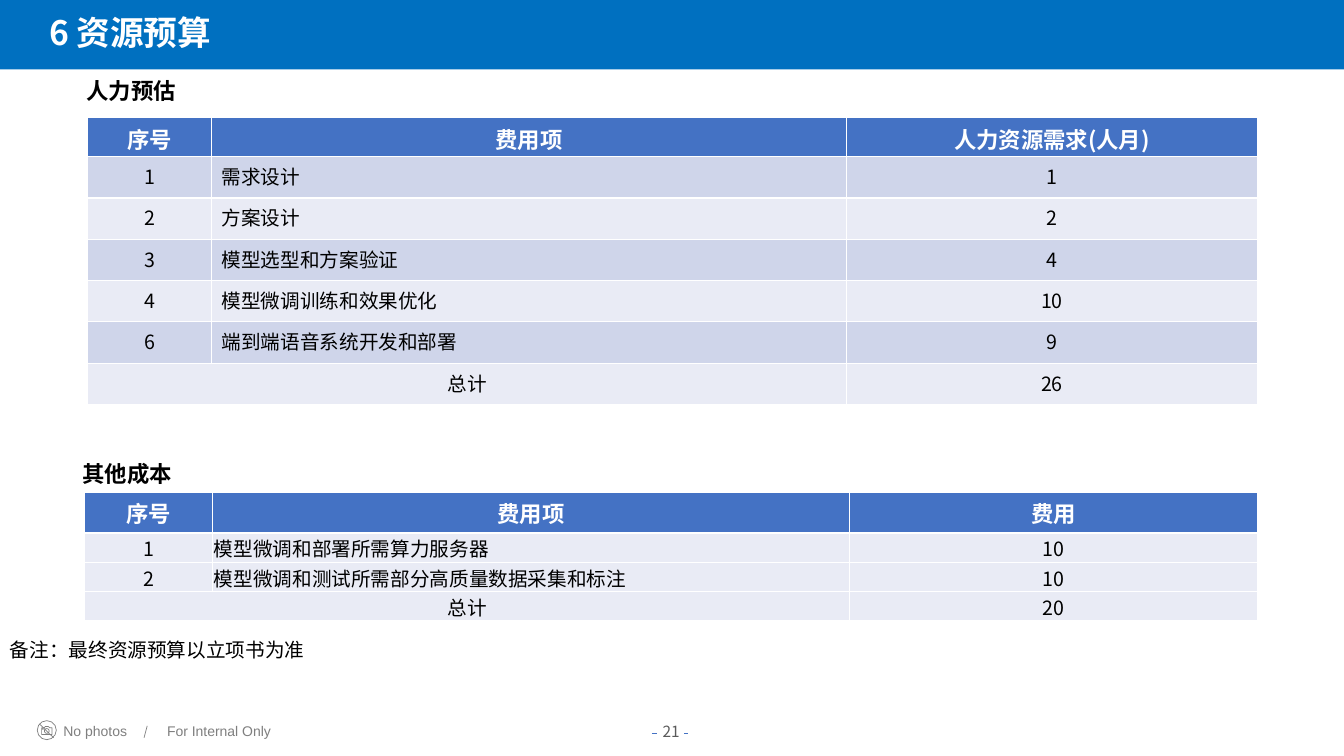
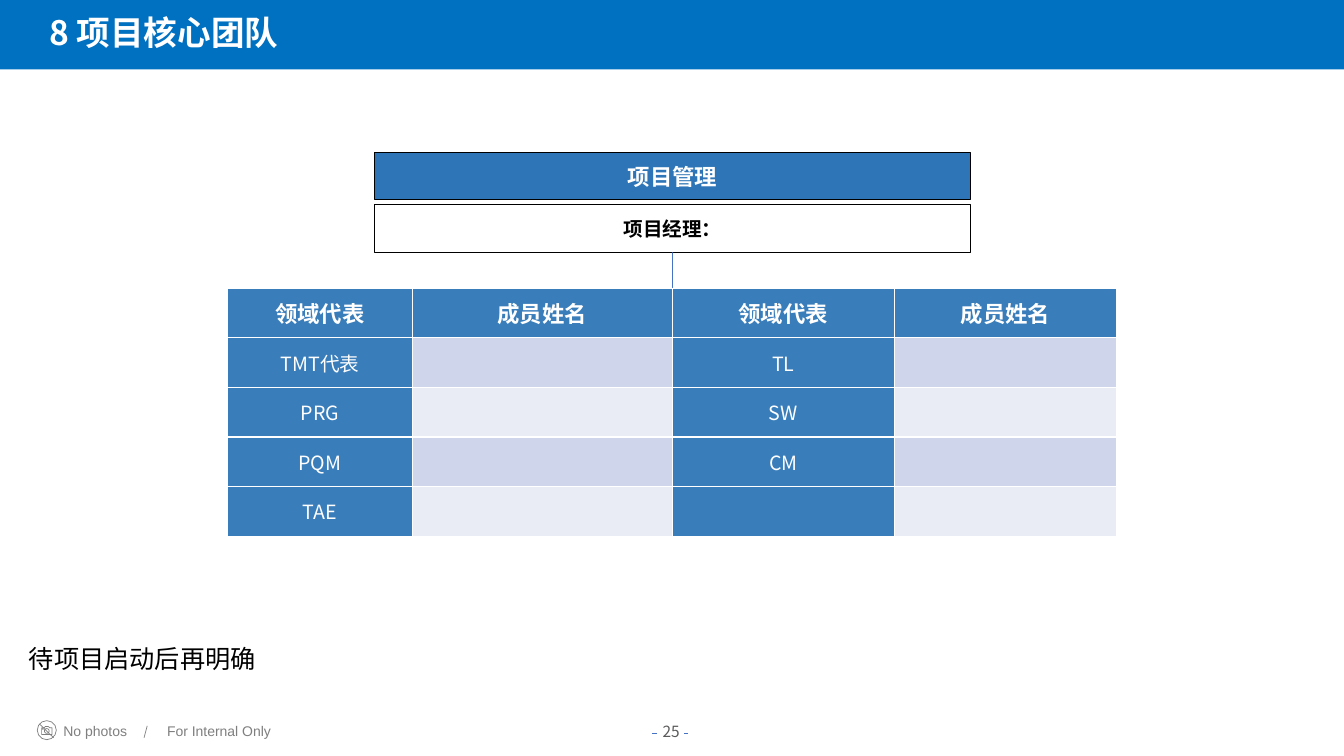
from lxml.etree import SubElement
from pptx import Presentation
from pptx.dml.color import RGBColor
from pptx.enum.shapes import MSO_CONNECTOR as LINK, MSO_SHAPE as SHAPE
from pptx.enum.text import MSO_ANCHOR as ANCHOR, PP_ALIGN as ALIGN
from pptx.oxml.ns import qn
from pptx.util import Cm, Pt

rgb = RGBColor.from_string
SANS, LATIN = "Noto Sans CJK SC", "Arial"
WHITE, BLACK, GRAY, BLUE = "FFFFFF", "000000", "7F7F7F", "4472C4"
BAND, TEAM, LEAD = "0070C0", "397DBA", "2D75B6"
DARK, PALE = "CFD5EA", "E9EBF5"


def write(frame, text, size, color=BLACK, bold=False, align=ALIGN.LEFT, face=SANS):
    frame.text = text
    para = frame.paragraphs[0]
    para.alignment = align
    for run in para.runs:
        font = run.font
        font.size, font.bold, font.name = Pt(size), bold, face
        font.color.rgb = rgb(color)
        SubElement(font._element, qn("a:ea"), typeface=face)


def grid(slide, left, top, widths, head, step, rows, fills, lead=BLUE):
    """Add a table; None in a row merges that cell into the one before it."""
    high = head + step * (len(rows) - 1)
    table = slide.shapes.add_table(len(rows), len(widths), Cm(left), Cm(top),
                                   Cm(sum(widths)), Cm(high)).table
    for col, width in zip(table.columns, widths):
        col.width = Cm(width)
    for r, row in enumerate(rows):
        table.rows[r].height = Cm(step if r else head)
        for c, text in enumerate(row):
            cell = table.cell(r, c)
            cell.fill.solid()
            cell.fill.fore_color.rgb = rgb(fills[r % 2] if r else lead)
            if text is None:
                table.cell(r, c - 1).merge(cell)
            elif r == 0:
                write(cell.text_frame, text, 16, WHITE, True, ALIGN.CENTER)
            elif text:
                plain = c == 1 and len(widths) == 3
                write(cell.text_frame, text, 14,
                      align=ALIGN.LEFT if plain else ALIGN.CENTER)
    return table


deck = Presentation()
deck.slide_width, deck.slide_height = Cm(33.87), Cm(19.05)

# Title, page number, and labels: text, left, top, width, size, bold
pages = [
    ("6 资源预算", "21", [
        ("人力预估", 1.93, 1.83, 4, 16, True),
        ("其他成本", 1.83, 11.46, 4, 16, True),
        ("备注：最终资源预算以立项书为准", 0, 15.95, 9, 14, False)]),
    ("8 项目核心团队", "25", [
        ("待项目启动后再明确", 0.48, 16.08, 23.75, 18, False)]),
]
# Footer strokes: x1, y1, x2, y2, colour
strokes = [
    (0.99, 18.24, 1.35, 18.59, GRAY),
    (3.71, 18.29, 3.63, 18.59, GRAY),
    (16.43, 18.49, 16.56, 18.49, BLUE),
    (17.25, 18.49, 17.35, 18.49, BLUE),
]
camera = [(1.11, 18.34), (1.14, 18.31), (1.22, 18.31), (1.25, 18.34),
          (1.31, 18.34), (1.31, 18.51), (1.05, 18.51)]

slides = []
for name, number, labels in pages:
    slide = deck.slides.add_slide(deck.slide_layouts[5])
    slides.append(slide)
    shapes = slide.shapes

    title = shapes.title
    title.left, title.top, title.width, title.height = 0, 0, deck.slide_width, Cm(1.75)
    title.fill.solid()
    title.fill.fore_color.rgb = rgb(BAND)
    frame = title.text_frame
    frame.margin_left, frame.margin_top, frame.margin_bottom = Cm(1.24), 0, Cm(0.13)
    frame.vertical_anchor = ANCHOR.MIDDLE
    write(frame, name, 24, WHITE, True)

    pen = shapes.build_freeform(Cm(1.05), Cm(18.34), 1)
    pen.add_line_segments([(Cm(x), Cm(y)) for x, y in camera], close=True)
    icon = [pen.convert_to_shape()]
    for x, y, size in [(0.94, 18.16, 0.48), (1.12, 18.36, 0.12), (1.07, 18.36, 0.02)]:
        icon.append(shapes.add_shape(SHAPE.OVAL, Cm(x), Cm(y), Cm(size), Cm(size)))
    for part in icon:
        part.shadow.inherit = False
        part.fill.background()
        part.line.color.rgb = rgb(GRAY)
        part.line.width = Pt(0.5)

    for x1, y1, x2, y2, color in strokes:
        line = shapes.add_connector(LINK.STRAIGHT, Cm(x1), Cm(y1), Cm(x2), Cm(y2))
        line.line.color.rgb = rgb(color)
        line.line.width = Pt(0.5)
        SubElement(line._element.spPr, qn("a:effectLst"))

    for text, left, width in [("No photos", 1.35, 2.4), ("For Internal Only", 3.96, 3.4)]:
        box = shapes.add_textbox(Cm(left), Cm(18.08), Cm(width), Cm(0.69))
        box.text_frame.word_wrap = True
        write(box.text_frame, text, 10, GRAY, face=LATIN)

    box = shapes.add_textbox(Cm(16.05), Cm(18.08), Cm(1.73), Cm(0.74))
    box.text_frame.word_wrap = True
    write(box.text_frame, number, 11, "5A5A5A", align=ALIGN.CENTER)

    for text, left, top, width, size, bold in labels:
        box = shapes.add_textbox(Cm(left), Cm(top), Cm(width), Cm(0.94))
        box.text_frame.word_wrap = True
        write(box.text_frame, text, size, bold=bold)

budget, team = slides

# Budget tables
grid(budget, 2.21, 2.97, [3.12, 16, 10.36], 0.98, 1.04, [
    ("序号", "费用项", "人力资源需求(人月)"),
    ("1", "需求设计", "1"),
    ("2", "方案设计", "2"),
    ("3", "模型选型和方案验证", "4"),
    ("4", "模型微调训练和效果优化", "10"),
    ("6", "端到端语音系统开发和部署", "9"),
    ("总计", None, "26"),
], [PALE, DARK])

costs = grid(budget, 2.13, 12.4, [3.23, 16.05, 10.29], 1.03, 0.74, [
    ("序号", "费用项", "费用"),
    ("1", "模型微调和部署所需算力服务器", "10"),
    ("2", "模型微调和测试所需部分高质量数据采集和标注", "10"),
    ("总计", None, "20"),
], [PALE, PALE])
costs.first_row = costs.horz_banding = False
for r, row in enumerate(costs.rows):
    for cell in row.cells:
        cell.margin_left = cell.margin_top = cell.margin_right = Cm(0.03)
        cell.margin_bottom = 0
        cell.vertical_anchor = ANCHOR.BOTTOM if r else ANCHOR.MIDDLE

# Team chart
for text, top, fill, color, size in [("项目管理", 3.84, LEAD, WHITE, 16),
                                     ("项目经理：", 5.16, WHITE, BLACK, 14)]:
    box = team.shapes.add_shape(SHAPE.RECTANGLE, Cm(9.45), Cm(top), Cm(15), Cm(1.2))
    box.shadow.inherit = False
    box.fill.solid()
    box.fill.fore_color.rgb = rgb(fill)
    box.line.color.rgb = rgb(BLACK)
    box.line.width = Pt(0.75)
    box.text_frame.vertical_anchor = ANCHOR.MIDDLE
    write(box.text_frame, text, size, color, True, ALIGN.CENTER)

stem = team.shapes.add_connector(LINK.STRAIGHT, Cm(16.95), Cm(6.36), Cm(16.95), Cm(7.26))
stem.begin_connect(box, 2)
stem.line.color.rgb = rgb(BLUE)
stem.line.width = Pt(0.5)
SubElement(stem._element.spPr, qn("a:effectLst"))

roles = grid(team, 5.74, 7.26, [4.65, 6.55, 5.6, 5.6], 1.25, 1.25, [
    ("领域代表", "成员姓名") * 2,
    ("TMT代表", "", "TL", ""),
    ("PRG", "", "SW", ""),
    ("PQM", "", "CM", ""),
    ("TAE", "", "", ""),
], [PALE, DARK], TEAM)
for row in roles.rows:
    for c, cell in enumerate(row.cells):
        cell.vertical_anchor = ANCHOR.MIDDLE
        if c % 2 == 0:
            cell.fill.fore_color.rgb = rgb(TEAM)
            for run in cell.text_frame.paragraphs[0].runs:
                run.font.color.rgb = rgb(WHITE)

deck.save("out.pptx")
